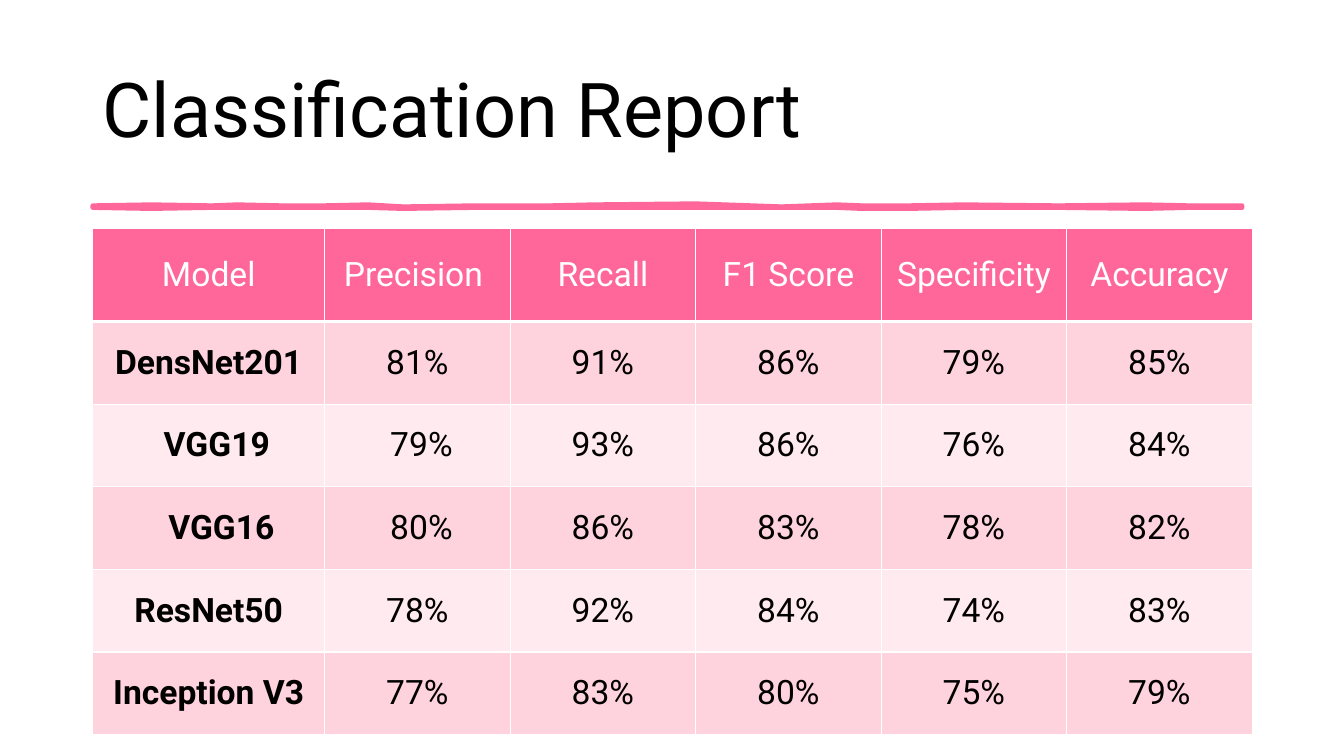
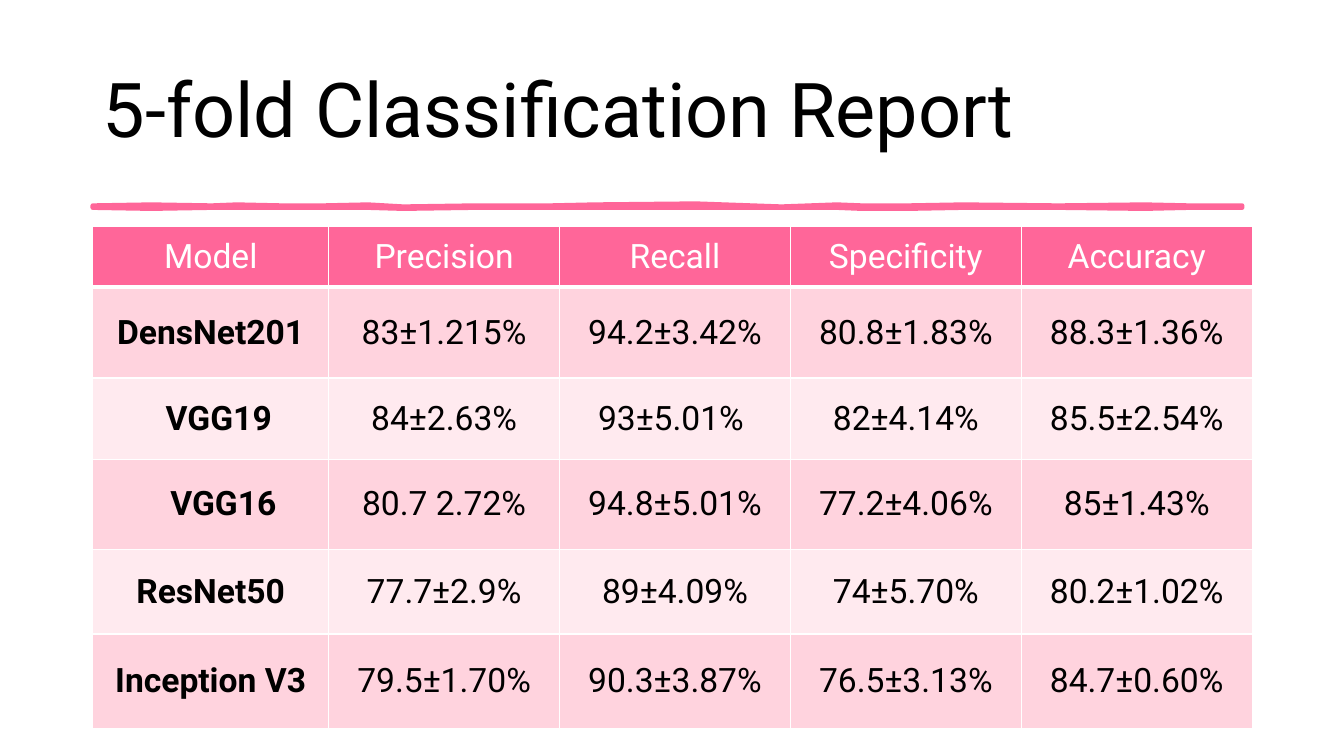
from lxml.etree import SubElement
from pptx import Presentation
from pptx.dml.color import RGBColor
from pptx.enum.text import MSO_ANCHOR as Anchor, PP_ALIGN as Align
from pptx.oxml.ns import qn
from pptx.util import Pt

PX = 9144
FONT = "Roboto"
COLORS = {
    "pink": "FF6699",
    "band": "FFD3DE",
    "pale": "FFEAEF",
    "white": "FFFFFF",
    "black": "000000",
}
LEFT, WIDTH = 92, 1150
STROKE = [
    (92, 204, 206), (150, 203, 207), (210, 204, 206), (235, 203, 206),
    (280, 204, 206), (320, 204, 206), (365, 203, 206), (400, 205, 207),
    (470, 204, 206), (545, 204, 206), (590, 203, 206), (690, 202, 206),
    (775, 205, 206), (830, 203, 206), (855, 204, 207), (900, 204, 207),
    (955, 203, 206), (1050, 204, 206), (1135, 203, 207), (1180, 204, 206),
    (1232, 204, 206),
]
MODELS = ["DensNet201", "VGG19", "VGG16", "ResNet50", "Inception V3"]
MODEL_INDENTS = {(2, 0): (16, 0), (3, 0): (25, 0)}
REPORTS = [
    {
        "title": "Classification Report",
        "top": 227,
        "first_column": 230,
        "heights": [92] + [82] * 5,
        "header": ["Model", "Precision", "Recall", "F1 Score", "Specificity", "Accuracy"],
        "values": [
            ["81%", "91%", "86%", "79%", "85%"],
            ["79%", "93%", "86%", "76%", "84%"],
            ["80%", "86%", "83%", "78%", "82%"],
            ["78%", "92%", "84%", "74%", "83%"],
            ["77%", "83%", "80%", "75%", "79%"],
        ],
        "indents": {(0, 1): (0, 8), (2, 1): (8, 0), (3, 1): (8, 0)},
    },
    {
        "title": "5-fold Classification Report",
        "top": 225,
        "first_column": 234,
        "heights": [60, 90, 81, 89, 84, 94],
        "header": ["Model", "Precision", "Recall", "Specificity", "Accuracy"],
        "values": [
            ["83±1.215%", "94.2±3.42%", "80.8±1.83%", "88.3±1.36%"],
            ["84±2.63%", "93±5.01%", "82±4.14%", "85.5±2.54%"],
            ["80.7 2.72%", "94.8±5.01%", "77.2±4.06%", "85±1.43%"],
            ["77.7±2.9%", "89±4.09%", "74±5.70%", "80.2±1.02%"],
            ["79.5±1.70%", "90.3±3.87%", "76.5±3.13%", "84.7±0.60%"],
        ],
        "indents": {(2, 2): (0, 8)},
    },
]


def write(frame, text, size=24, color="black", bold=False, align=Align.CENTER, spacing=None):
    para = frame.paragraphs[0]
    para.alignment = align
    para.line_spacing = spacing
    span = para.add_run()
    span.text = text
    span.font.name = FONT
    span.font.size = Pt(size)
    span.font.bold = bold
    span.font.color.rgb = RGBColor.from_string(COLORS[color])


def add_border(cell, side, points):
    line = SubElement(cell._tc.get_or_add_tcPr(), qn(f"a:ln{side}"), w=str(Pt(points)))
    fill = SubElement(line, qn("a:solidFill"))
    SubElement(fill, qn("a:srgbClr"), val=COLORS["white"])


deck = Presentation()
deck.slide_width = 1333 * PX
deck.slide_height = 750 * PX

for report in REPORTS:
    page = deck.slides.add_slide(deck.slide_layouts[6])

    title = page.shapes.add_textbox(LEFT * PX, 40 * PX, WIDTH * PX, 145 * PX)
    title.text_frame.word_wrap = True
    title.text_frame.vertical_anchor = Anchor.MIDDLE
    write(title.text_frame, report["title"], size=54, align=Align.LEFT, spacing=0.9)

    upper = [(x, top) for x, top, bottom in STROKE]
    lower = [(x, bottom) for x, top, bottom in reversed(STROKE)]
    builder = page.shapes.build_freeform(*upper[0], scale=PX)
    builder.add_line_segments(upper[1:] + lower, close=True)
    stroke = builder.convert_to_shape()
    stroke.shadow.inherit = False
    stroke.fill.solid()
    stroke.fill.fore_color.rgb = RGBColor.from_string(COLORS["pink"])
    stroke.line.color.rgb = RGBColor.from_string(COLORS["pink"])
    stroke.line.width = Pt(3.25)
    SubElement(stroke._element.spPr.find(qn("a:ln")), qn("a:round"))

    rows = [report["header"]]
    rows += [[model] + values for model, values in zip(MODELS, report["values"])]
    heights = report["heights"]
    columns = len(report["header"])
    table = page.shapes.add_table(
        len(rows), columns, LEFT * PX, report["top"] * PX, WIDTH * PX, sum(heights) * PX
    ).table
    for column in table.columns:
        column.width = (WIDTH - report["first_column"]) * PX // (columns - 1)
    table.columns[0].width = report["first_column"] * PX
    for row, height in zip(table.rows, heights):
        row.height = height * PX

    indents = MODEL_INDENTS | report["indents"]
    for r, texts in enumerate(rows):
        for c, text in enumerate(texts):
            cell = table.cell(r, c)
            left, right = indents.get((r, c), (0, 0))
            cell.margin_left, cell.margin_right = left * PX, right * PX
            cell.margin_top = cell.margin_bottom = 0
            cell.vertical_anchor = Anchor.MIDDLE
            add_border(cell, "L", 1)
            add_border(cell, "R", 1)
            add_border(cell, "T", 3 if r == 1 else 1)
            add_border(cell, "B", 3 if r == 0 else 1)
            shade = "pink" if r == 0 else "band" if r % 2 else "pale"
            cell.fill.solid()
            cell.fill.fore_color.rgb = RGBColor.from_string(COLORS[shade])
            write(
                cell.text_frame,
                text,
                color="black" if r else "white",
                bold=r > 0 and c == 0,
            )

deck.save("out.pptx")
